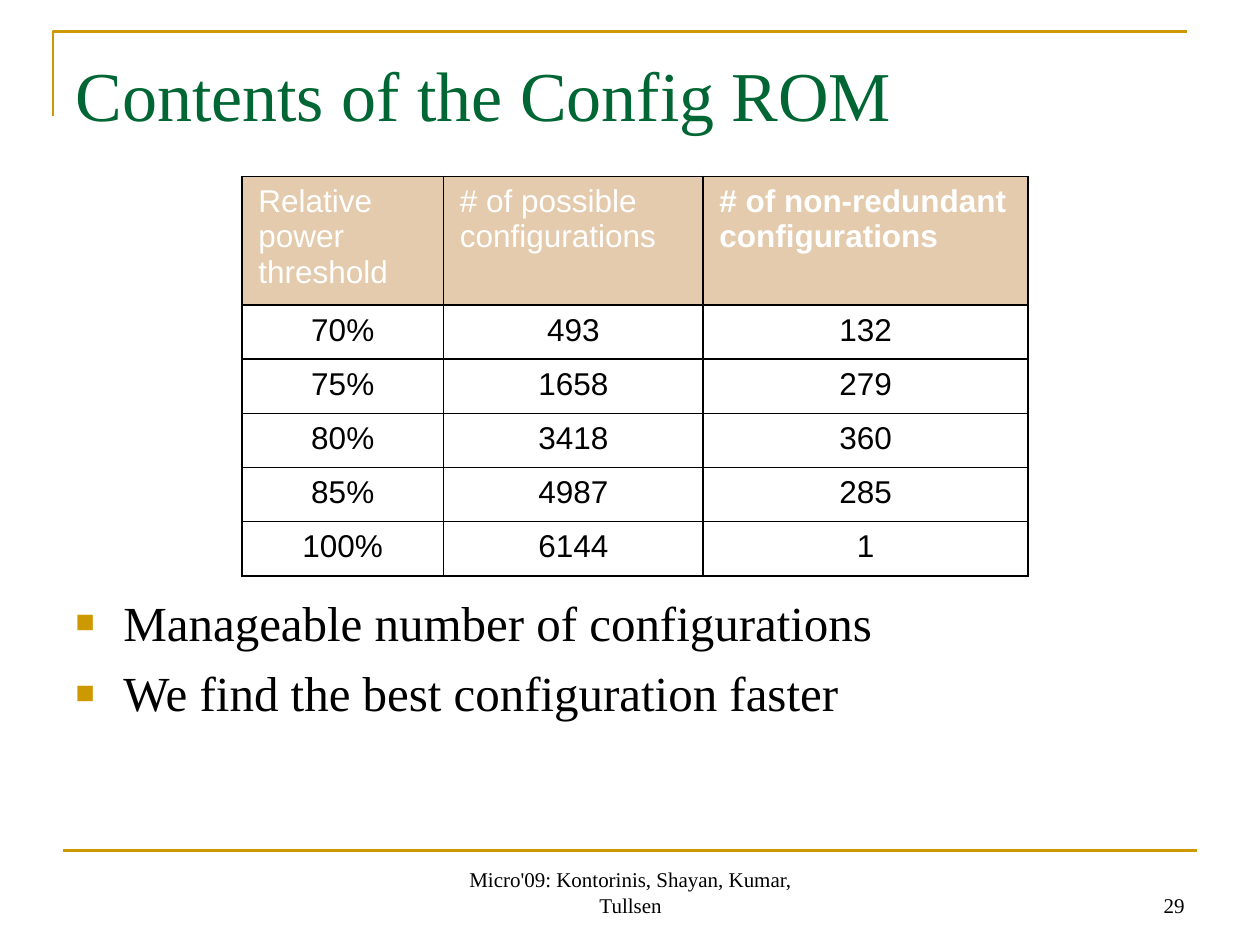
from lxml.etree import SubElement
from pptx import Presentation
from pptx.dml.color import RGBColor
from pptx.enum.shapes import MSO_CONNECTOR
from pptx.enum.text import MSO_ANCHOR, MSO_AUTO_SIZE, PP_ALIGN
from pptx.oxml.ns import qn
from pptx.util import Inches, Pt

GOLD = RGBColor(0xCC, 0x99, 0x00)
GREEN = RGBColor(0x00, 0x66, 0x33)
TAN = RGBColor(0xE4, 0xCB, 0xAD)
BLACK = RGBColor(0, 0, 0)
WHITE = RGBColor(0xFF, 0xFF, 0xFF)
SERIF, SANS = "Times New Roman", "Arial"

TITLE = "Contents of the Config ROM"
BULLETS = ["Manageable number of configurations", "We find the best configuration faster"]
HEADER = ["Relative power threshold", "# of possible configurations", "# of non-redundant configurations"]
ROWS = [
    ("70%", "493", "132"),
    ("75%", "1658", "279"),
    ("80%", "3418", "360"),
    ("85%", "4987", "285"),
    ("100%", "6144", "1"),
]
COL_WIDTHS = [1.6, 2.06, 2.58]
HEADER_HEIGHT, ROW_HEIGHT = 0.97, 0.43
FOOTERS = [
    ("Micro'09: Kontorinis, Shayan, Kumar, Tullsen", 3.42, 3.17, PP_ALIGN.CENTER),
    ("29", 7.17, 2.33, PP_ALIGN.RIGHT),
]


def place(sp, left, top, width, height):
    sp.left, sp.top, sp.width, sp.height = map(Inches, (left, top, width, height))


def style(p, size, color, name=SERIF, bold=False, align=PP_ALIGN.LEFT):
    p.alignment = align
    for r in p.runs:
        r.font.size, r.font.name, r.font.bold = Pt(size), name, bold
        r.font.color.rgb = color


def add_bullet(p):
    pPr = p._p.get_or_add_pPr()
    pPr.set("marL", str(Inches(0.38)))
    pPr.set("indent", str(-Inches(0.38)))
    SubElement(SubElement(pPr, qn("a:buClr")), qn("a:srgbClr"), val=str(GOLD))
    SubElement(pPr, qn("a:buSzPct"), val="65000")
    SubElement(pPr, qn("a:buFont"), typeface=SANS)
    SubElement(pPr, qn("a:buChar"), char="■")


def add_borders(cell):
    tcPr = cell._tc.get_or_add_tcPr()
    for side in ("lnL", "lnR", "lnT", "lnB"):
        ln = SubElement(tcPr, qn(f"a:{side}"), w=str(Pt(1)))
        SubElement(SubElement(ln, qn("a:solidFill")), qn("a:srgbClr"), val=str(BLACK))


def add_frame(slide):
    fb = slide.shapes.build_freeform(Inches(0.42), Inches(0.92))
    fb.add_line_segments([(Inches(0.42), Inches(0.25)), (Inches(9.42), Inches(0.25))], close=False)
    corner = fb.convert_to_shape()
    corner.shadow.inherit = False
    corner.fill.background()
    rule = slide.shapes.add_connector(
        MSO_CONNECTOR.STRAIGHT, Inches(0.5), Inches(6.75), Inches(9.5), Inches(6.75))
    SubElement(rule._element.spPr, qn("a:effectLst"))
    for sp in (corner, rule):
        sp.line.color.rgb = GOLD
        sp.line.width = Pt(1.5)


def add_text(slide):
    title, body = slide.shapes.title, slide.placeholders[1]
    place(title, 0.5, 0.3, 9, 1.25)
    place(body, 0.5, 4.65, 8.5, 1.63)
    for sp in (title, body):
        sp.text_frame.auto_size = MSO_AUTO_SIZE.NONE
        sp.text_frame.vertical_anchor = MSO_ANCHOR.TOP
    title.text_frame.margin_top = Inches(0.11)
    title.text_frame.text = TITLE
    style(title.text_frame.paragraphs[0], 40, GREEN)

    body.text_frame.text = "\n".join(BULLETS)
    for i, p in enumerate(body.text_frame.paragraphs):
        add_bullet(p)
        p.space_before = Pt(6.7 if i else 0)
        style(p, 28, BLACK)

    for text, left, width, align in FOOTERS:
        tf = slide.shapes.add_textbox(Inches(left), Inches(6.83), Inches(width), Inches(0.5)).text_frame
        tf.word_wrap = True
        tf.vertical_anchor = MSO_ANCHOR.BOTTOM
        tf.text = text
        style(tf.paragraphs[0], 12, BLACK, align=align)


def add_config_table(slide):
    height = HEADER_HEIGHT + ROW_HEIGHT * len(ROWS)
    table = slide.shapes.add_table(
        len(ROWS) + 1, len(HEADER), Inches(1.92), Inches(1.4),
        Inches(sum(COL_WIDTHS)), Inches(height)).table
    for col, width in zip(table.columns, COL_WIDTHS):
        col.width = Inches(width)
    for i, values in enumerate([HEADER] + ROWS):
        table.rows[i].height = Inches(ROW_HEIGHT if i else HEADER_HEIGHT)
        for j, value in enumerate(values):
            cell = table.cell(i, j)
            cell.margin_left = cell.margin_right = Inches(0.13)
            cell.margin_top = cell.margin_bottom = Inches(0.06)
            add_borders(cell)
            cell.fill.solid()
            cell.fill.fore_color.rgb = WHITE if i else TAN
            cell.text = value
            p = cell.text_frame.paragraphs[0]
            if i:
                style(p, 18, BLACK, SANS, align=PP_ALIGN.CENTER)
            else:
                style(p, 18, WHITE, SANS, bold=j == 2)


def main():
    prs = Presentation()
    prs.slide_width, prs.slide_height = Inches(10), Inches(7.5)
    slide = prs.slides.add_slide(prs.slide_layouts[1])
    add_frame(slide)
    add_text(slide)
    add_config_table(slide)
    prs.save("out.pptx")


if __name__ == "__main__":
    main()
